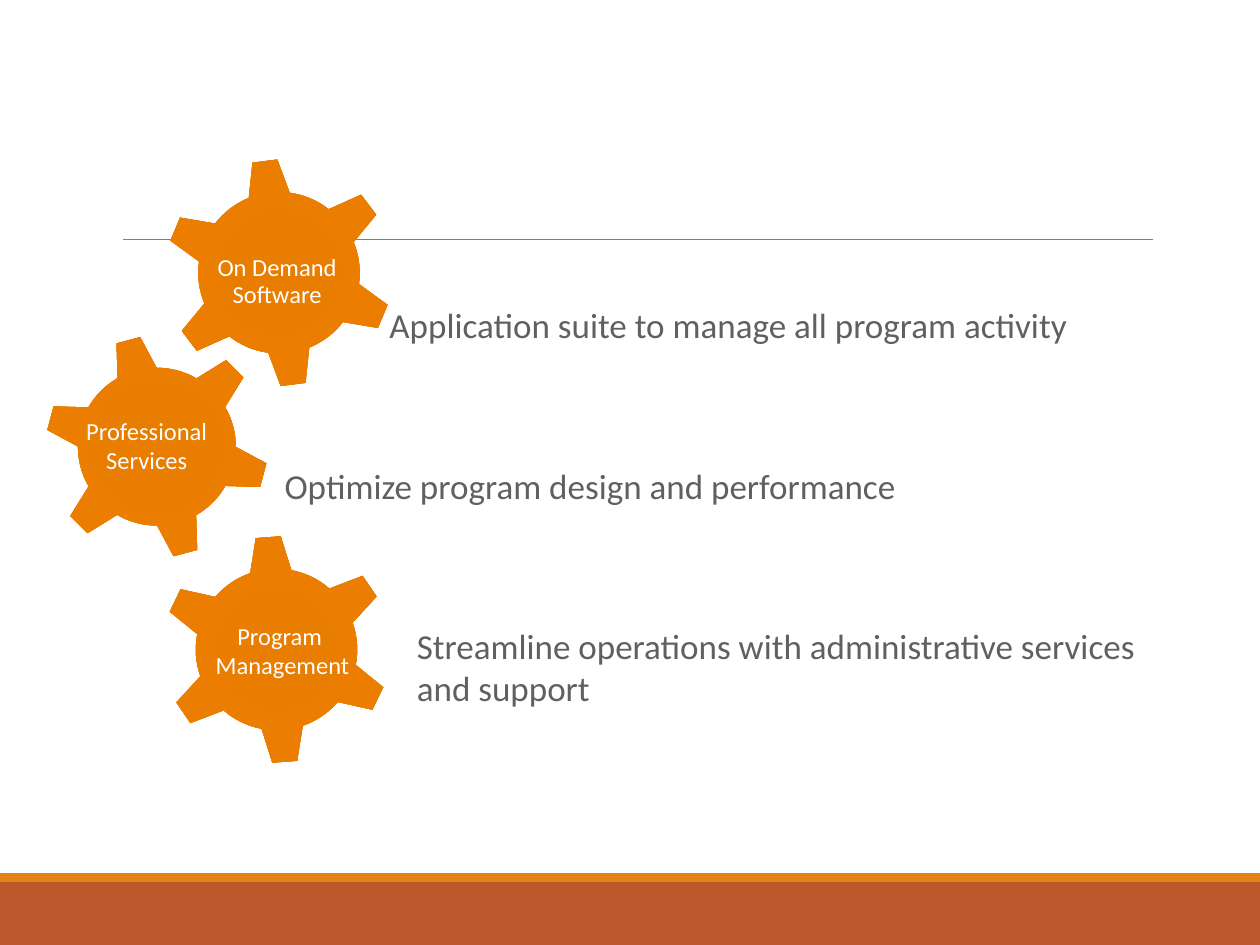
from dataclasses import dataclass

from pptx import Presentation
from pptx import util as u
from pptx.dml.color import RGBColor
from pptx.enum import shapes, text
from pptx.oxml import parse_xml
from pptx.oxml.ns import nsdecls, qn


@dataclass(frozen=True)
class Theme:
    font: str = "Calibri"
    body_size: int = 20
    label_size: int = 14
    body: str = "606060"
    label: str = "FFFFFF"
    rule: str = "808080"
    band: str = "BD582C"
    stripe: str = "E48312"
    gear: tuple = ((0, "E57B00"), (34, "E87D00"), (70, "EB7E00"), (100, "EF8407"))


@dataclass(frozen=True)
class Box:
    left: float
    top: float
    width: float
    height: float

    def emu(self) -> tuple:
        return tuple(u.Inches(v) for v in (self.left, self.top, self.width, self.height))


@dataclass(frozen=True)
class Service:
    gear: Box
    angle: float
    label: str
    label_box: Box
    label_format: dict
    summary: str
    summary_box: Box


THEME = Theme()
SERVICES = (
    Service(Box(1.3, 1.25, 1.83, 1.83), -7.2,
            "On Demand Software", Box(1.57, 1.98, 1.26, 0.52),
            dict(spacing=0.9, after=5),
            " Application suite to manage all program activity",
            Box(2.93, 2.36, 6.31, 0.44)),
    Service(Box(0.35, 2.65, 1.79, 1.79), -15,
            "Professional\nServices", Box(0.58, 3.25, 1.17, 0.57),
            dict(wrap=False),
            "Optimize program design and performance",
            Box(2.16, 3.64, 5.18, 0.44)),
    Service(Box(1.28, 4.24, 1.83, 1.83), -4.2,
            "Program\n Management", Box(1.56, 4.88, 1.32, 0.57),
            dict(wrap=False),
            "Streamline operations with administrative services and support",
            Box(3.21, 4.91, 6.18, 0.77)),
)


def add_band(s, box: Box, color: str) -> None:
    sp = s.shapes.add_shape(shapes.MSO_SHAPE.RECTANGLE, *box.emu())
    sp.shadow.inherit = False
    sp.fill.solid()
    sp.fill.fore_color.rgb = RGBColor.from_string(color)
    sp.line.fill.background()


def add_rule(s, left: float, right: float, y: float) -> None:
    ln = s.shapes.add_connector(shapes.MSO_CONNECTOR.STRAIGHT, u.Inches(left),
                                u.Inches(y), u.Inches(right), u.Inches(y))
    ln.line.color.rgb = RGBColor.from_string(THEME.rule)
    ln.line.width = u.Pt(0.5)
    ln._element.spPr.append(parse_xml(f"<a:effectLst {nsdecls('a')}/>"))


def add_gear(s, box: Box, angle: float) -> None:
    sp = s.shapes.add_shape(shapes.MSO_SHAPE.GEAR_6, *box.emu())
    sp.rotation = angle
    sp.shadow.inherit = False
    sp.line.fill.background()
    sp.fill.gradient()
    stops = "".join(f'<a:gs pos="{pos * 1000}"><a:srgbClr val="{color}"/></a:gs>'
                    for pos, color in THEME.gear)
    radial = parse_xml(
        f'<a:gradFill {nsdecls("a")} rotWithShape="1"><a:gsLst>{stops}</a:gsLst>'
        '<a:path path="circle"><a:fillToRect l="100000" t="100000" r="100000" '
        'b="100000"/></a:path></a:gradFill>')
    spPr = sp._element.spPr
    spPr.replace(spPr.find(qn("a:gradFill")), radial)


def add_text(s, content: str, box: Box, *, size: int, color: str,
             align=text.PP_ALIGN.LEFT, wrap: bool = True,
             spacing: float = 1.0, after: float = 0) -> None:
    tf = s.shapes.add_textbox(*box.emu()).text_frame
    tf.word_wrap = wrap
    tf.auto_size = text.MSO_AUTO_SIZE.SHAPE_TO_FIT_TEXT
    for i, line in enumerate(content.split("\n")):
        p = tf.add_paragraph() if i else tf.paragraphs[0]
        p.alignment = align
        p.line_spacing = spacing
        p.space_after = u.Pt(after)
        r = p.add_run()
        r.text = line
        r.font.name = THEME.font
        r.font.size = u.Pt(size)
        r.font.color.rgb = RGBColor.from_string(color)


def main() -> None:
    """Build the slide of three service gears and save it."""
    prs = Presentation()
    prs.slide_width, prs.slide_height = u.Inches(10), u.Inches(7.5)
    s = prs.slides.add_slide(prs.slide_layouts[6])
    add_band(s, Box(0, 7, 10, 0.5), THEME.band)
    add_band(s, Box(0, 6.93, 10, 0.07), THEME.stripe)
    add_rule(s, 0.98, 9.15, 1.9)
    for item in SERVICES:
        add_text(s, item.summary, item.summary_box,
                 size=THEME.body_size, color=THEME.body)
        add_gear(s, item.gear, item.angle)
        add_text(s, item.label, item.label_box, size=THEME.label_size,
                 color=THEME.label, align=text.PP_ALIGN.CENTER, **item.label_format)
    prs.save("out.pptx")


if __name__ == "__main__":
    main()
